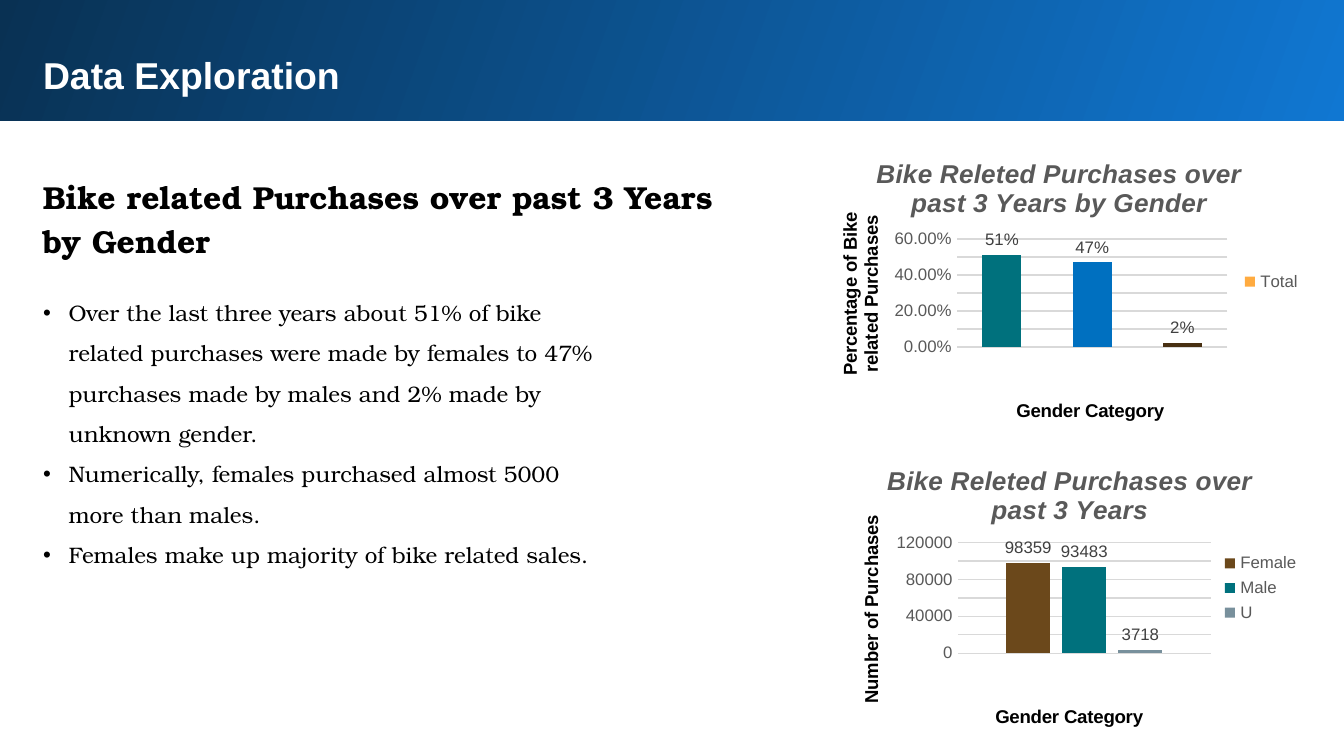
import pptx
import pptx.chart.data
import pptx.dml.color
import pptx.enum.chart
import pptx.enum.shapes
import pptx.enum.text
import pptx.oxml
import pptx.oxml.ns
import pptx.util

WIDTH = 10
HEIGHT = WIDTH * 9 / 16
COLORS = {
    "black": "000000", "white": "FFFFFF", "band light": "1077D2", "band dark": "093153",
    "gray": "595959", "label": "404040", "grid": "D9D9D9", "teal": "00717D",
    "blue": "0070C0", "dark brown": "483012", "brown": "6B481B", "slate": "78909C",
    "orange": "FFAB40",
}
SANS, SERIF = "Arial", "TeX Gyre Bonum"


def color(name):
    return pptx.dml.color.RGBColor.from_string(COLORS[name])


def style(font, size, name, face=SANS, bold=False, italic=False):
    font.size = pptx.util.Pt(size)
    font.name = face
    font.color.rgb = color(name)
    font.bold = bold
    font.italic = italic


def place(shape, box):
    shape.left, shape.top, shape.width, shape.height = map(pptx.util.Inches, box)


def prepare_frame(shape, box):
    place(shape, box)
    frame = shape.text_frame
    frame.word_wrap = True
    frame.auto_size = pptx.enum.text.MSO_AUTO_SIZE.NONE
    frame.vertical_anchor = pptx.enum.text.MSO_ANCHOR.TOP
    frame.margin_left = frame.margin_right = pptx.util.Inches(0.1)
    frame.margin_top = frame.margin_bottom = pptx.util.Inches(0.1)
    return frame


def write(para, text, spacing):
    para.text = text
    para.alignment = pptx.enum.text.PP_ALIGN.LEFT
    para.line_spacing = spacing
    para.space_before = pptx.util.Pt(0)


def add_header(page, box, text):
    left, top, width, height = box
    # Gradient band, behind the title
    band = page.shapes.add_shape(pptx.enum.shapes.MSO_SHAPE.RECTANGLE, 0, 0, 0, 0)
    place(band, box)
    band.shadow.inherit = False
    band.line.fill.background()
    band.fill.gradient()
    band.fill.gradient_angle = 160
    for stop, name in zip(band.fill.gradient_stops, ("band light", "band dark")):
        stop.color.rgb = color(name)
    page.shapes.element.insert(2, band.element)
    # Title
    frame = prepare_frame(page.shapes.title,
                          (left + 0.24, top + height / 3, width * 0.93, height * 0.55))
    write(frame.paragraphs[0], text, 1)
    style(frame.paragraphs[0].font, 20, "white", bold=True)


def add_findings(page, box, heading, points):
    left, top, width, height = box
    # Heading
    heading_box = page.shapes.add_textbox(0, 0, 0, 0)
    para = prepare_frame(heading_box, (left, top, width, height / 4)).paragraphs[0]
    write(para, heading, 1.15)
    style(para.font, 17, "black", SERIF, bold=True)
    # Bulleted list
    frame = prepare_frame(page.placeholders[1],
                          (left, top + height / 4, width * 0.82, height * 0.75))
    for index, point in enumerate(points):
        para = frame.add_paragraph() if index else frame.paragraphs[0]
        write(para, point, 1.5)
        properties = para._p.get_or_add_pPr()
        indent = pptx.util.Inches(0.19)
        properties.set("marL", str(indent))
        properties.set("indent", str(-indent))
        bullet = pptx.oxml.parse_xml(
            f'<a:buChar {pptx.oxml.ns.nsdecls("a")} char="•"/>')
        properties.append(bullet)
        style(para.font, 12, "black", SERIF)


def set_layout(owner, index, shares, target=""):
    """Fix the place of a plot area or title as shares of the chart."""
    for old in owner.findall(pptx.oxml.ns.qn("c:layout")):
        owner.remove(old)
    sizes = "".join(f'<c:{tag} val="{share}"/>' for tag, share in zip("xywh", shares))
    owner.insert(index, pptx.oxml.parse_xml(
        f'<c:layout {pptx.oxml.ns.nsdecls("c")}><c:manualLayout>{target}'
        '<c:xMode val="edge"/><c:yMode val="edge"/>'
        f'{sizes}</c:manualLayout></c:layout>'))


def add_title(owner_frame, text, size, name, italic=False):
    para = owner_frame.paragraphs[0]
    para.text = text
    style(para.font, size, name, bold=True, italic=italic)


def add_purchase_chart(page, box, title, value_title, categories, series, points,
                       top_value, formats, gap, overlap, layouts):
    data = pptx.chart.data.CategoryChartData()
    data.categories = categories
    for name, values, _ in series:
        data.add_series(name, values)
    chart = page.shapes.add_chart(
        pptx.enum.chart.XL_CHART_TYPE.COLUMN_CLUSTERED,
        *map(pptx.util.Inches, box), data).chart
    style(chart.font, 10, "black")
    chart.has_title = True
    add_title(chart.chart_title.text_frame, title, 14, "gray", italic=True)
    chart.has_legend = True
    chart.legend.position = pptx.enum.chart.XL_LEGEND_POSITION.RIGHT
    chart.legend.include_in_layout = False
    style(chart.legend.font, 9, "gray")

    # Axes
    category_axis, value_axis = chart.category_axis, chart.value_axis
    category_axis.visible = False
    add_title(category_axis.axis_title.text_frame, "Gender Category", 10, "black")
    add_title(value_axis.axis_title.text_frame, value_title, 10, "black")
    value_axis.minimum_scale, value_axis.maximum_scale = 0, top_value
    value_axis.major_unit = top_value / 6
    value_axis.major_tick_mark = pptx.enum.chart.XL_TICK_MARK.NONE
    value_axis.format.line.fill.background()
    grid_line = value_axis.major_gridlines.format.line
    grid_line.color.rgb = color("grid")
    grid_line.width = pptx.util.Pt(0.75)
    style(value_axis.tick_labels.font, 9, "gray")

    # Columns and their labels
    plot = chart.plots[0]
    plot.vary_by_categories = False
    plot.gap_width, plot.overlap = gap, overlap
    for column, (_, _, name) in zip(plot.series, series):
        column.format.fill.solid()
        column.format.fill.fore_color.rgb = color(name)
        labels = column.data_labels
        labels.show_value = True
        labels.position = pptx.enum.chart.XL_LABEL_POSITION.OUTSIDE_END
        style(labels.font, 9, "label")
        for target, code in zip((value_axis.tick_labels, labels), formats):
            target.number_format = code
            target.number_format_is_linked = False
    for index, name in enumerate(points):
        fill = plot.series[0].points[index].format.fill
        fill.solid()
        fill.fore_color.rgb = color(name)

    # Places of the plot and the axis titles
    plot_shares, category_shares, value_shares = layouts
    set_layout(chart.element.chart.plotArea, 0, plot_shares,
               '<c:layoutTarget val="inner"/>')
    set_layout(category_axis.axis_title._element, 1, category_shares)
    set_layout(value_axis.axis_title._element, 1, value_shares)


def main():
    deck = pptx.Presentation()
    deck.slide_width = pptx.util.Inches(WIDTH)
    deck.slide_height = pptx.util.Inches(HEIGHT)
    page = deck.slides.add_slide(deck.slide_layouts[1])

    add_header(page, (-0.02, -0.02, WIDTH + 0.05, 0.92), "Data Exploration")
    add_findings(
        page, (0.22, HEIGHT * 0.21, WIDTH * 0.53, HEIGHT * 0.6),
        "Bike related Purchases over past 3 Years by Gender",
        ["Over the last three years about 51% of bike related purchases were made by "
         "females to 47% purchases made by males and 2% made by unknown gender.",
         "Numerically, females purchased almost 5000 more than males.",
         "Females make up majority of bike related sales."])
    chart_height = HEIGHT * 0.38
    add_purchase_chart(
        page, (5.98, 1.04, 3.8, chart_height),
        "Bike Releted Purchases over past 3 Years by Gender",
        "Percentage of Bike related Purchases", ["1", "2", "3"],
        [("Total", (0.51, 0.47, 0.02), "orange")], ["teal", "blue", "dark brown"],
        0.6, ("0.00%", "0%"), 131, -100,
        ((0.3, 0.35, 0.53, 0.38), (0.41, 0.9), (0.06, 0.25)))
    add_purchase_chart(
        page, (6.15, 3.32, 3.62, chart_height),
        "Bike Releted Purchases over past 3 Years", "Number of Purchases", ["1"],
        [("Female", (98359,), "brown"), ("Male", (93483,), "teal"),
         ("U", (3718,), "slate")], [],
        120000, ("General", "General"), 219, -27,
        ((0.27, 0.34, 0.52, 0.39), (0.34, 0.9), (0.06, 0.24)))
    deck.save("out.pptx")


if __name__ == "__main__":
    main()
